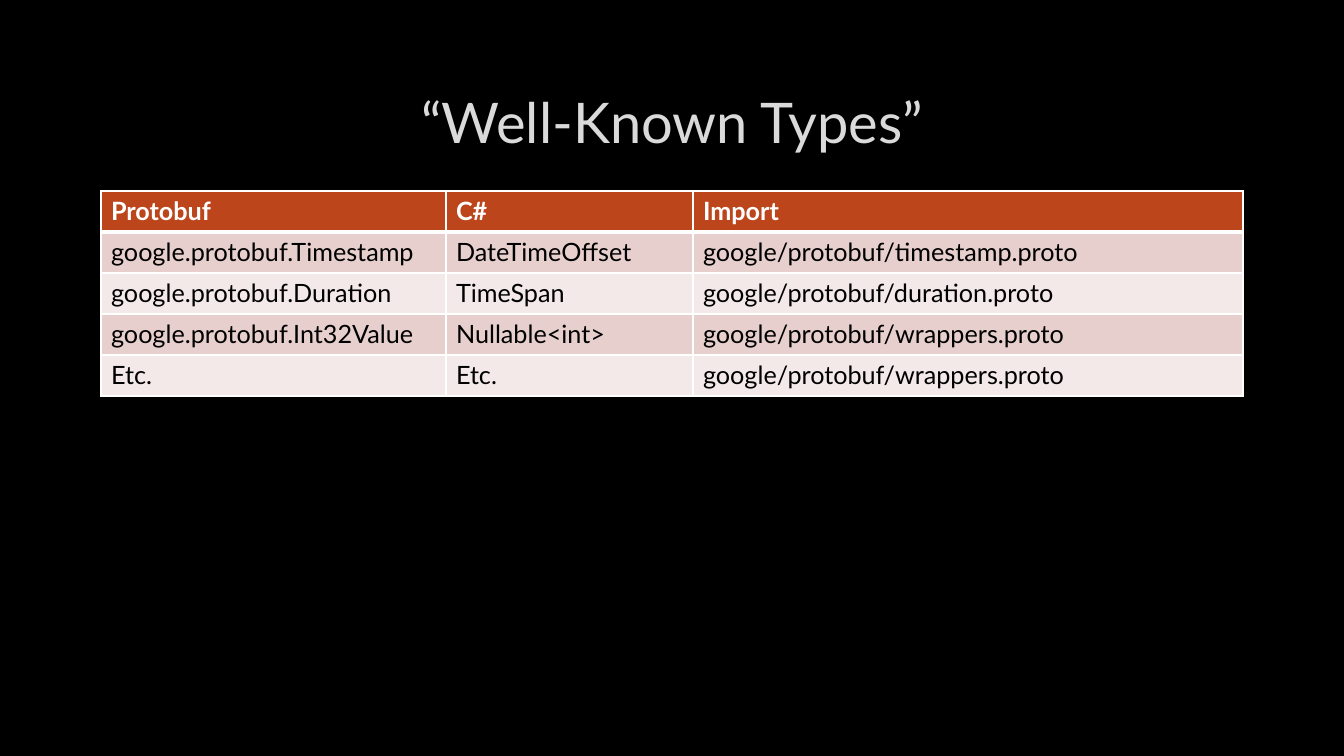
import pptx
import pptx.dml.color
import pptx.enum.text
import pptx.oxml.ns
import pptx.util
from lxml import etree

PX = 914400 / 100.8
FONT = "Lato"
BLACK = pptx.dml.color.RGBColor(0x00, 0x00, 0x00)
WHITE = pptx.dml.color.RGBColor(0xFF, 0xFF, 0xFF)
TITLE_GREY = pptx.dml.color.RGBColor(0xDA, 0xDA, 0xDA)
HEADER_RUST = pptx.dml.color.RGBColor(0xBC, 0x45, 0x1B)
BANDS = [
    pptx.dml.color.RGBColor(0xF3, 0xE9, 0xE8),
    pptx.dml.color.RGBColor(0xE7, 0xCF, 0xCD),
]

LEFT, WIDTH = 101, 1142
TITLE_TOP, TITLE_HEIGHT = 68, 107
TABLE_TOP, ROW_HEIGHT = 191, 41
COLUMN_WIDTHS = [345, 247, 550]
TYPE_ROWS = [
    ("Protobuf", "C#", "Import"),
    ("google.protobuf.Timestamp", "DateTimeOffset", "google/protobuf/timestamp.proto"),
    ("google.protobuf.Duration", "TimeSpan", "google/protobuf/duration.proto"),
    ("google.protobuf.Int32Value", "Nullable<int>", "google/protobuf/wrappers.proto"),
    ("Etc.", "Etc.", "google/protobuf/wrappers.proto"),
]


def px(length):
    """Turn pixels into EMU."""
    return pptx.util.Emu(round(length * PX))


def add_run(paragraph, text, size, color, bold=False):
    """Add one formatted run to a paragraph."""
    run = paragraph.add_run()
    run.text = text
    run.font.name = FONT
    run.font.size = pptx.util.Pt(size)
    run.font.bold = bold
    run.font.color.rgb = color


deck = pptx.Presentation()
deck.slide_width, deck.slide_height = px(1344), px(756)
slide = deck.slides.add_slide(deck.slide_layouts[6])
slide.background.fill.solid()
slide.background.fill.fore_color.rgb = BLACK

title = slide.shapes.add_textbox(
    px(LEFT), px(TITLE_TOP), px(WIDTH), px(TITLE_HEIGHT)
).text_frame
title.word_wrap = True
title.vertical_anchor = pptx.enum.text.MSO_ANCHOR.MIDDLE
title.paragraphs[0].alignment = pptx.enum.text.PP_ALIGN.CENTER
add_run(title.paragraphs[0], "“Well-Known Types”", 40, TITLE_GREY)

type_table = slide.shapes.add_table(
    len(TYPE_ROWS), len(COLUMN_WIDTHS),
    px(LEFT), px(TABLE_TOP), px(WIDTH), px(ROW_HEIGHT * len(TYPE_ROWS)),
).table
for column, width in zip(type_table.columns, COLUMN_WIDTHS):
    column.width = px(width)

for row_index, names in enumerate(TYPE_ROWS):
    type_table.rows[row_index].height = px(ROW_HEIGHT)
    is_header = row_index == 0
    # The rule below the header is shared by the first two rows.
    border_widths = {
        "lnL": 1,
        "lnR": 1,
        "lnT": 3 if row_index == 1 else 1,
        "lnB": 3 if is_header else 1,
    }
    for column_index, name in enumerate(names):
        cell = type_table.cell(row_index, column_index)
        add_run(cell.text_frame.paragraphs[0], name, 18,
                WHITE if is_header else BLACK, bold=is_header)
        properties = cell._tc.get_or_add_tcPr()
        for side, points in border_widths.items():
            border = etree.SubElement(
                properties, pptx.oxml.ns.qn(f"a:{side}"), w=str(pptx.util.Pt(points))
            )
            line_fill = etree.SubElement(border, pptx.oxml.ns.qn("a:solidFill"))
            etree.SubElement(line_fill, pptx.oxml.ns.qn("a:srgbClr"), val=str(WHITE))
        cell.fill.solid()
        cell.fill.fore_color.rgb = HEADER_RUST if is_header else BANDS[row_index % 2]

deck.save("out.pptx")
